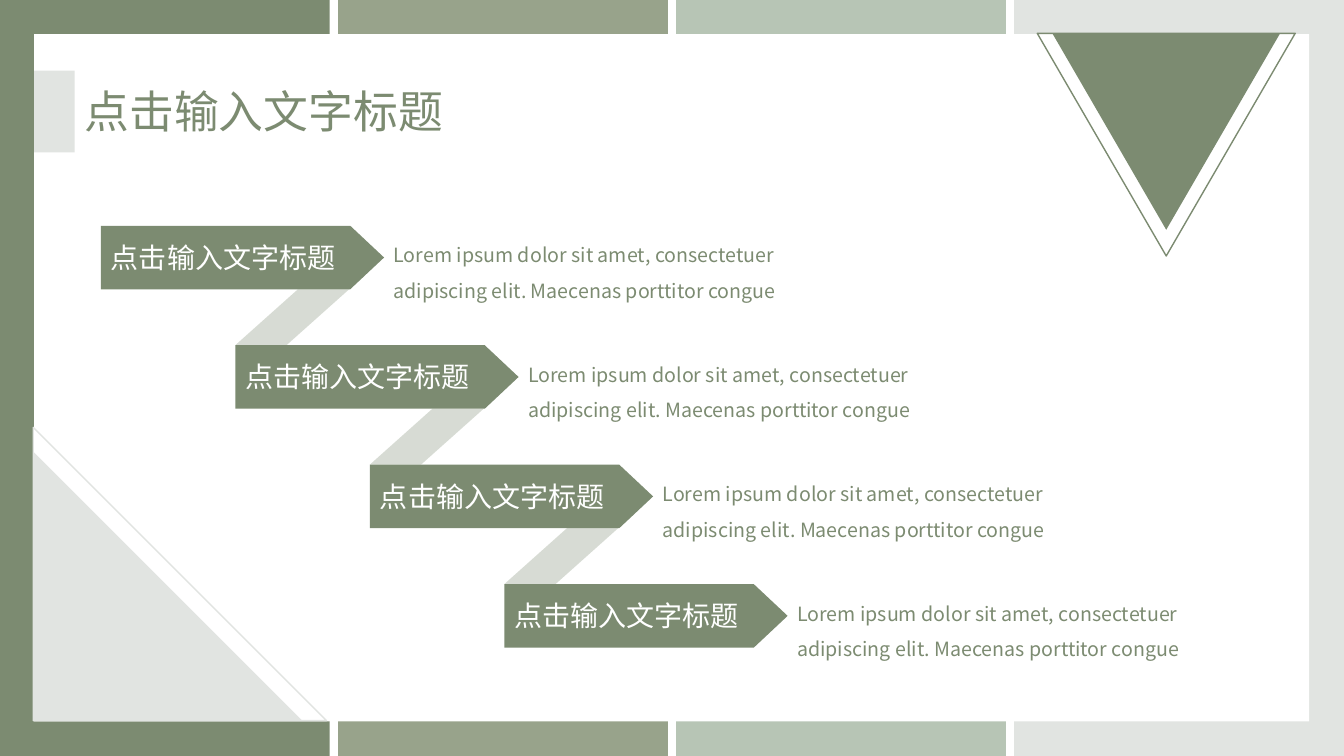
"""Build a slide with four arrow steps running down to the right."""
from lxml.etree import SubElement as Sub
from pptx import Presentation
from pptx.dml.color import RGBColor as Rgb
from pptx.enum.shapes import MSO_SHAPE as Geo
from pptx.enum.text import MSO_AUTO_SIZE as Fit, PP_ALIGN as Align
from pptx.oxml.ns import qn
from pptx.util import Cm, Pt

HUES = {"dark": "7C8B71", "mid": "98A38B", "soft": "B7C5B5", "pale": "E1E4E1", "white": "FFFFFF"}
FONT = "Noto Sans CJK SC"
HEAD = "点击输入文字标题"
BODY = "Lorem ipsum dolor sit amet, consectetuer adipiscing elit. Maecenas porttitor congue"


def write(frame, text, size, hue, align=Align.LEFT, space=1.0):
    frame.word_wrap = True
    frame.auto_size = Fit.SHAPE_TO_FIT_TEXT
    para = frame.paragraphs[0]
    para.alignment = align
    para.line_spacing = space
    run = para.add_run()
    run.text = text
    font = run.font
    font.size = Pt(size)
    font.color.rgb = Rgb.from_string(HUES[hue])
    font.name = FONT
    Sub(font._element, qn("a:ea"), typeface=FONT)


class Board:
    def __init__(self, slide):
        self.items = slide.shapes

    def shape(self, kind, box, fill=None, line=None, turn=0, adjust=None, alpha=None):
        item = self.items.add_shape(kind, *map(Cm, box))
        item.shadow.inherit = False
        item.rotation = turn
        if adjust is not None:
            item.adjustments[0] = adjust
        if fill:
            item.fill.solid()
            item.fill.fore_color.rgb = Rgb.from_string(HUES[fill])
        else:
            item.fill.background()
        if line:
            item.line.color.rgb = Rgb.from_string(HUES[line])
            item.line.width = Pt(1)
        else:
            item.line.fill.background()
        if alpha is not None:
            tint = item.fill._xPr.find(".//" + qn("a:srgbClr"))
            Sub(tint, qn("a:alpha"), val=str(alpha * 1000))

    def text(self, box, text, size, hue, **style):
        item = self.items.add_textbox(*map(Cm, box))
        write(item.text_frame, text, size, hue, **style)

    def step(self, left, top):
        self.shape(Geo.PENTAGON, (left, top, 7.14, 1.6), "dark", adjust=0.533)
        self.text((left, top + 0.24, 6.17, 1.12), HEAD, 20, "white", align=Align.CENTER)
        self.text((left + 7.13, top + 0.02, 12.5, 1.96), BODY, 14, "dark", space=1.5)


def main():
    deck = Presentation()
    deck.slide_width, deck.slide_height = Cm(33.87), Cm(19.05)
    board = Board(deck.slides.add_slide(deck.slide_layouts[6]))

    for col, hue in enumerate(("dark", "mid", "soft", "pale")):
        board.shape(Geo.RECTANGLE, (8.52 * col, 0, 8.31, 19.05), hue)
    board.shape(Geo.RECTANGLE, (0.86, 0.86, 32.13, 17.32), "white")
    board.shape(Geo.RECTANGLE, (0.86, 1.78, 1.02, 2.06), "pale")
    board.text((1.88, 1.98, 11.66, 1.63), HEAD, 32, "dark")

    board.shape(Geo.RIGHT_TRIANGLE, (0.84, 11.38, 6.78, 6.78), "pale")
    board.shape(Geo.RIGHT_TRIANGLE, (0.84, 10.77, 7.39, 7.39), line="pale")
    board.shape(Geo.ISOSCELES_TRIANGLE, (26.52, 0.84, 5.74, 4.95), "dark", turn=180)
    board.shape(Geo.ISOSCELES_TRIANGLE, (26.14, 0.84, 6.5, 5.61), line="dark", turn=180)

    spots = [(2.54 + 3.39 * row, 5.69 + 3.01 * row) for row in range(4)]
    for left, top in spots:
        board.step(left, top)
    for left, top in spots[1:]:
        board.shape(Geo.PARALLELOGRAM, (left, top - 1.41, 2.87, 1.41), "dark", adjust=1.12, alpha=30)

    deck.save("out.pptx")


if __name__ == "__main__":
    main()
